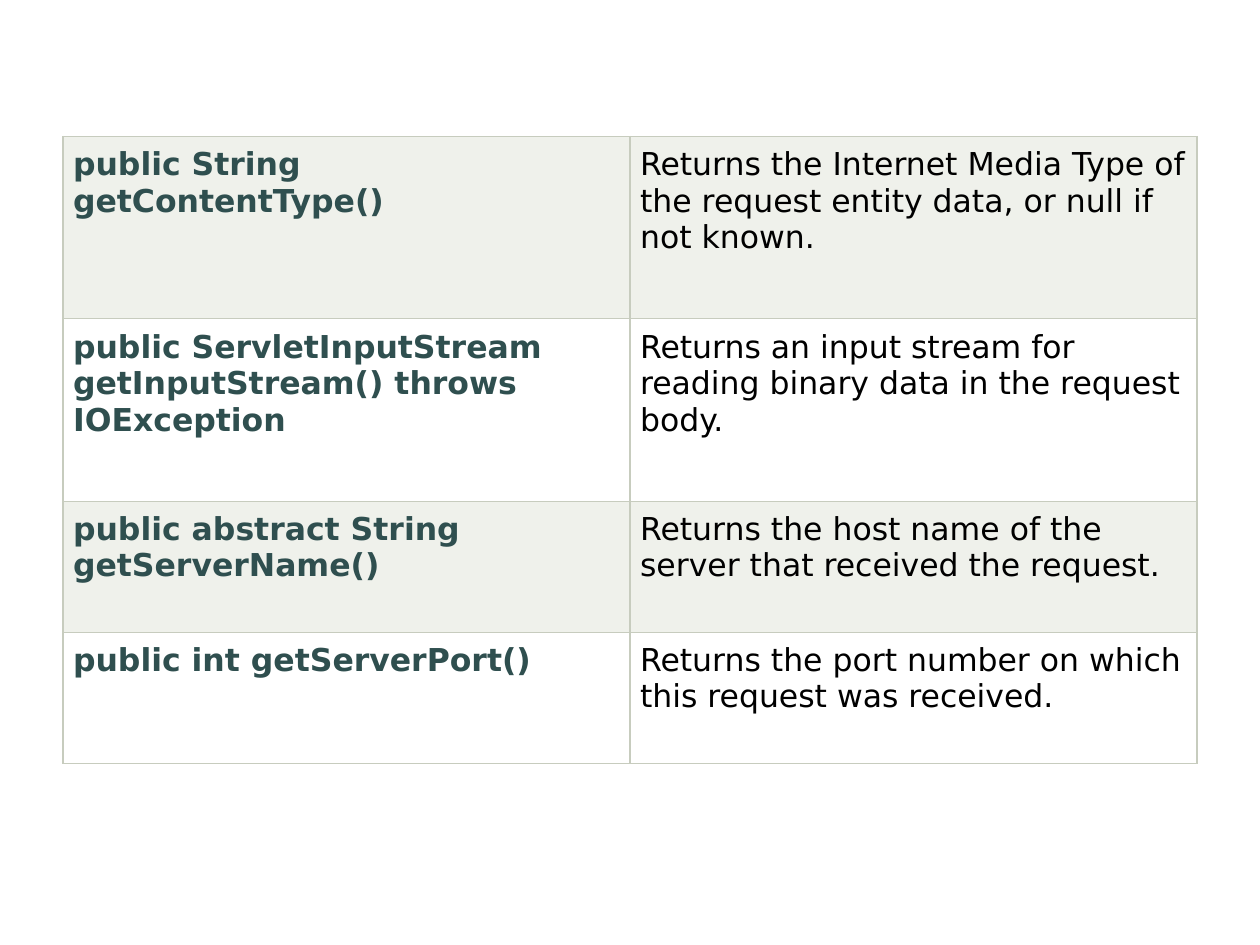
from dataclasses import dataclass

from lxml.etree import SubElement
from pptx import Presentation
from pptx.dml.color import RGBColor
from pptx.oxml.ns import qn
from pptx.table import _Cell
from pptx.util import Pt

COLORS = {
    "band": "EFF1EB",
    "plain": "FFFFFF",
    "border": "C7CCBE",
    "method": "2F4F4F",
    "description": "000000",
}
FONT = "DejaVu Sans"
FONT_SIZE = 18
LEFT, TOP = 36, 78
COLUMN_WIDTH = 324
CELL_MARGIN = 5.76
BORDER_WIDTH = 0.75


@dataclass
class MethodRow:
    method: str
    description: str
    height: float


METHOD_ROWS = [
    MethodRow("public String getContentType()",
              "Returns the Internet Media Type of the request entity data, "
              "or null if not known.", 104.2),
    MethodRow("public ServletInputStream getInputStream() throws IOException",
              "Returns an input stream for reading binary data in the request body.",
              104.2),
    MethodRow("public abstract String getServerName()",
              "Returns the host name of the server that received the request.", 74.9),
    MethodRow("public int getServerPort()",
              "Returns the port number on which this request was received.", 74.9),
]


def add_borders(cell: _Cell) -> None:
    """Draw all four cell edges; they must precede the fill in the XML."""
    properties = cell._tc.get_or_add_tcPr()
    for position, edge in enumerate(("a:lnL", "a:lnR", "a:lnT", "a:lnB")):
        line = SubElement(properties, qn(edge), w=str(Pt(BORDER_WIDTH)))
        fill = SubElement(line, qn("a:solidFill"))
        SubElement(fill, qn("a:srgbClr"), val=COLORS["border"])
        properties.insert(position, line)


def fill_cell(cell: _Cell, text: str, color: str, bold: bool, background: str) -> None:
    cell.margin_left = cell.margin_right = Pt(CELL_MARGIN)
    cell.margin_top = cell.margin_bottom = Pt(CELL_MARGIN)
    cell.fill.solid()
    cell.fill.fore_color.rgb = RGBColor.from_string(COLORS[background])
    add_borders(cell)
    cell.text = text
    font = cell.text_frame.paragraphs[0].font
    font.name = FONT
    font.size = Pt(FONT_SIZE)
    font.bold = bold
    font.color.rgb = RGBColor.from_string(COLORS[color])


# Deck and blank page
deck = Presentation()
deck.slide_width, deck.slide_height = Pt(720), Pt(540)
page = deck.slides.add_slide(deck.slide_layouts[6])

# Method table
table_height = sum(row.height for row in METHOD_ROWS)
table = page.shapes.add_table(len(METHOD_ROWS), 2, Pt(LEFT), Pt(TOP),
                              Pt(2 * COLUMN_WIDTH), Pt(table_height)).table
table.first_row = False
table.horz_banding = False
for column in table.columns:
    column.width = Pt(COLUMN_WIDTH)

# Rows with alternating backgrounds
for index, row in enumerate(METHOD_ROWS):
    table.rows[index].height = Pt(row.height)
    background = "plain" if index % 2 else "band"
    fill_cell(table.cell(index, 0), row.method, "method", True, background)
    fill_cell(table.cell(index, 1), row.description, "description", False, background)

deck.save("out.pptx")
